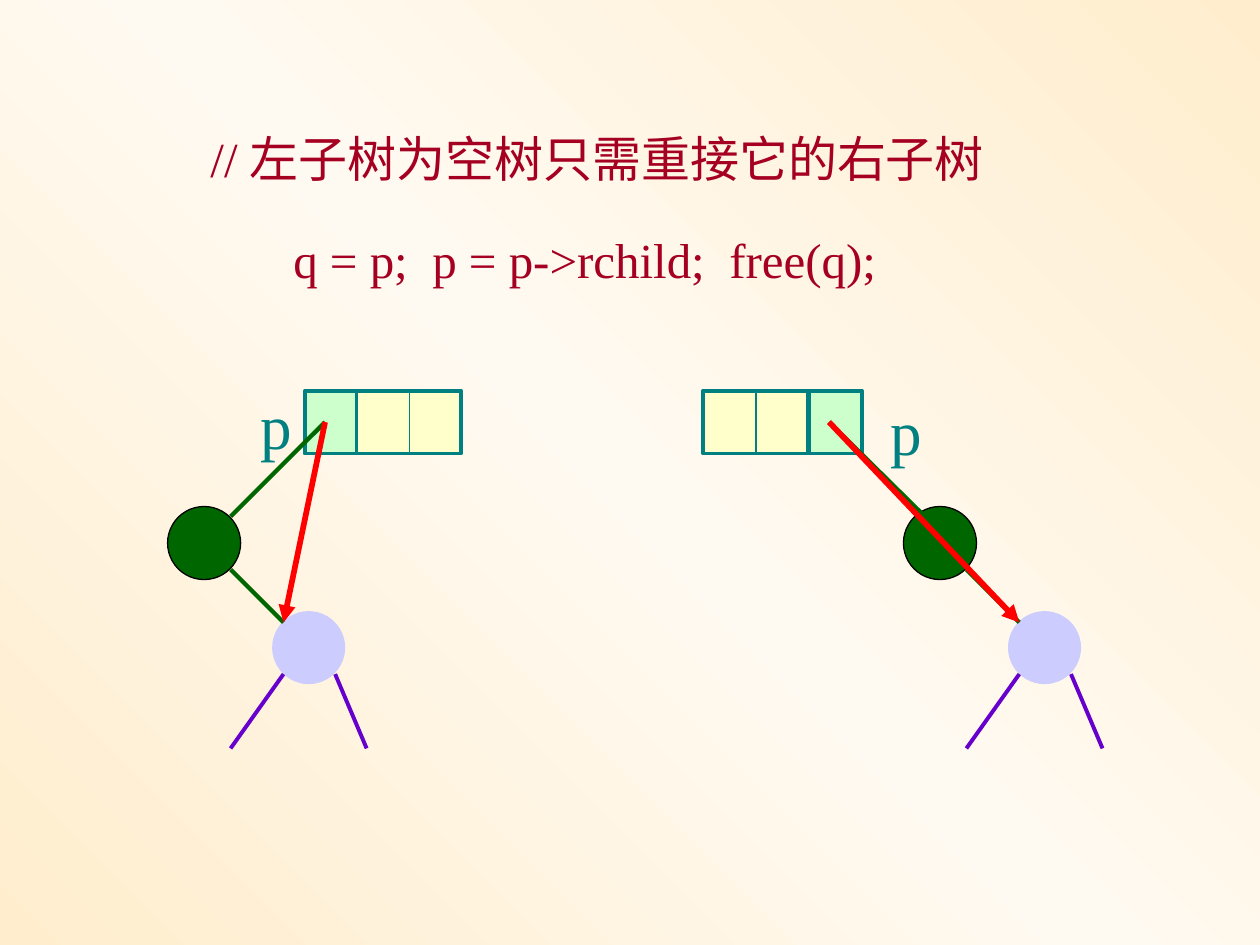
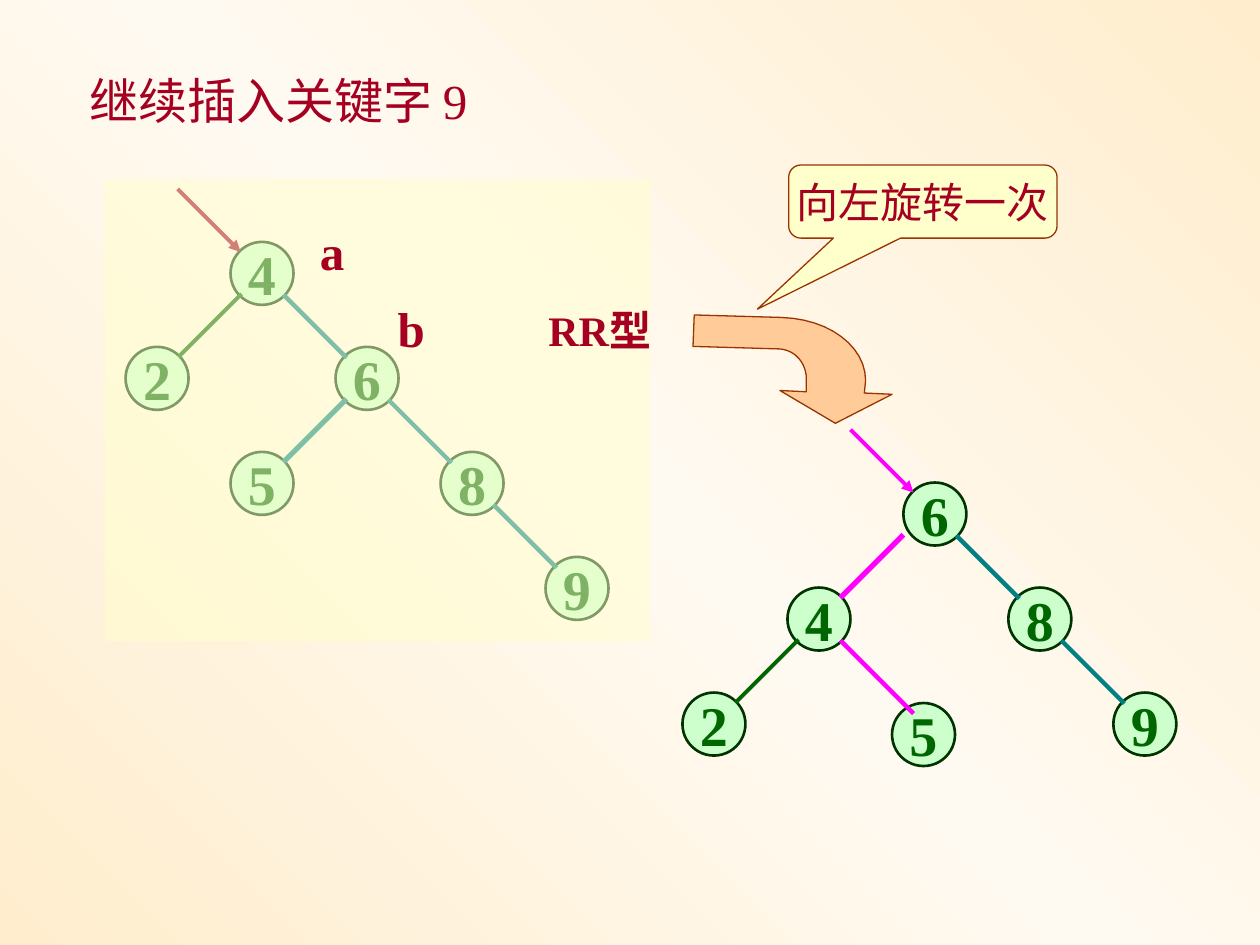
from copy import deepcopy

from lxml.etree import SubElement
from pptx import Presentation
from pptx.dml.color import RGBColor
from pptx.enum.shapes import MSO_CONNECTOR, MSO_SHAPE
from pptx.enum.text import MSO_ANCHOR, MSO_AUTO_SIZE, PP_ALIGN
from pptx.oxml.ns import qn
from pptx.util import Inches, Pt

FONT = "Times New Roman"
CRIMSON = RGBColor(0xA5, 0x00, 0x21)
TEAL = RGBColor(0x00, 0x80, 0x80)
GREEN = RGBColor(0x00, 0x66, 0x00)
DARK_GREEN = RGBColor(0x00, 0x33, 0x00)
MINT = RGBColor(0xCC, 0xFF, 0xCC)
CREAM = RGBColor(0xFF, 0xFF, 0xCC)
LAVENDER = RGBColor(0xCC, 0xCC, 0xFF)
PURPLE = RGBColor(0x66, 0x00, 0xCC)
MAGENTA = RGBColor(0xFF, 0x00, 0xFF)
RED = RGBColor(0xFF, 0x00, 0x00)
BLACK = RGBColor(0x00, 0x00, 0x00)
PEACH = RGBColor(0xFF, 0xCC, 0x99)
BROWN = RGBColor(0x99, 0x33, 0x00)
EDGE_TINT = RGBColor(0xFF, 0xED, 0xCD)
MIDDLE_TINT = RGBColor(0xFF, 0xFA, 0xF1)

DELETE_TITLE = "// 左子树为空树只需重接它的右子树"
DELETE_CODE = "q = p;  p = p->rchild;  free(q);"
DELETE_SIDES = [
    {"slot": 2.42, "fields": 2.83, "pointer": 2.58, "removed": 1.33,
     "entry": 0.5, "label": (1.97, 3.02)},
    {"slot": 6.42, "fields": 5.58, "pointer": 6.58, "removed": 7.17,
     "entry": 0.17, "label": (6.97, 3.07)},
]

INSERT_TITLE = "继续插入关键字 9"
STEP = 2.5 / 3
TREE_BEFORE = {
    "nodes": {"4": (1.83, 1.92), "2": (1.83 - STEP, 1.92 + STEP),
              "6": (1.83 + STEP, 1.92 + STEP), "5": (1.83, 1.92 + 2 * STEP),
              "8": (1.83 + 2 * STEP, 1.92 + 2 * STEP),
              "9": (1.83 + 3 * STEP, 1.92 + 3 * STEP)},
    "left_edges": [("2", GREEN, 2.25), ("5", TEAL, 3)],
    "right_edges": [("4", 0.5, TEAL), ("6", 0.5, TEAL), ("8", 0.5, TEAL)],
    "root": "4", "arrow": CRIMSON,
}
TREE_AFTER = {
    "nodes": {"6": (7.17, 3.83), "4": (6.25, 3.83 + STEP),
              "2": (6.25 - STEP, 3.83 + 2 * STEP), "8": (7.17 + STEP, 3.83 + STEP),
              "9": (7.17 + 2 * STEP, 3.83 + 2 * STEP), "5": (7.08, 5.58)},
    "left_edges": [("2", GREEN, 2.25), ("4", MAGENTA, 3)],
    "right_edges": [("6", 0.5, TEAL), ("8", 0.5, TEAL), ("4", 0.58, MAGENTA)],
    "root": "6", "arrow": MAGENTA,
}
INSERT_LABELS = [
    ("RR型", (4.21, 2.37, 1.1, 0.5), 24),
    ("a", (2.32, 1.71, 0.63, 0.57), 28),
    ("b", (2.95, 2.32, 0.63, 0.57), 28),
]
TURN_ARROW = [
    [(6.63, 3.36)], [(7.08, 3.13)], [(6.86, 3.12)], [(6.87, 3.02)],
    [(6.87, 2.75), (6.58, 2.53), (6.2, 2.52)],
    [(5.51, 2.5)], [(5.5, 2.75)], [(6.19, 2.77)],
    [(6.31, 2.78), (6.4, 2.88), (6.4, 3.01)],
    [(6.4, 3.11)], [(6.19, 3.1)],
]


def write(shape, text, size=28, color=CRIMSON, bold=False, align=PP_ALIGN.LEFT,
          anchor=MSO_ANCHOR.TOP, wrap=False, spacing=None):
    """Put formatted text into a shape."""
    frame = shape.text_frame
    frame.text = text
    frame.word_wrap = wrap
    frame.auto_size = MSO_AUTO_SIZE.NONE
    frame.vertical_anchor = anchor
    paragraph = frame.paragraphs[0]
    paragraph.alignment = align
    if spacing:
        paragraph.line_spacing = spacing
    font = paragraph.runs[0].font
    font.name, font.size, font.bold = FONT, Pt(size), bold
    font.color.rgb = color


def add_text(slide, text, box, **style):
    """Add a text box."""
    write(slide.shapes.add_textbox(*map(Inches, box)), text, **style)


def set_title(slide, text, box, **style):
    """Move and fill the title placeholder."""
    title = slide.shapes.title
    title.left, title.top, title.width, title.height = map(Inches, box)
    write(title, text, wrap=True, **style)


def paint(shape, fill, line=None, width=0.75):
    """Set fill and outline of a shape."""
    shape.shadow.inherit = False
    shape.fill.solid()
    shape.fill.fore_color.rgb = fill
    if line is None:
        shape.line.fill.background()
    else:
        shape.line.color.rgb = line
        shape.line.width = Pt(width)


def add_shape(slide, kind, box, fill, line=None, width=0.75):
    """Add a painted preset shape."""
    shape = slide.shapes.add_shape(kind, *map(Inches, box))
    paint(shape, fill, line, width)
    return shape


def add_line(slide, start, end, color, width, arrow=False):
    """Add a straight line, optionally with an arrowhead at its end."""
    line = slide.shapes.add_connector(
        MSO_CONNECTOR.STRAIGHT, *map(Inches, (*start, *end)))
    line.line.color.rgb = color
    line.line.width = Pt(width)
    properties = line.element.spPr
    SubElement(properties, qn("a:effectLst"))
    if arrow:
        SubElement(properties.find(qn("a:ln")), qn("a:tailEnd"), type="triangle")


def set_background(master):
    """Give every slide the diagonal gradient."""
    fill = master.background.fill
    fill.gradient()
    fill.gradient_angle = 45
    for stop in fill.gradient_stops:
        stop.color.rgb = EDGE_TINT
    first = master.element.find(".//" + qn("a:gs"))
    first.addnext(deepcopy(first))
    for stop, position in zip(fill.gradient_stops, (0, 0.5, 1)):
        stop.position = position
    fill.gradient_stops[1].color.rgb = MIDDLE_TINT


def draw_deletion(slide, slot, fields, pointer, removed, entry, label):
    """Draw one case of unlinking a node with a single subtree."""
    top, height, node_top, size = 3.1, 0.5, 4.02, 0.58

    def near(x, y):
        return removed + x, node_top + y

    add_shape(slide, MSO_SHAPE.RECTANGLE, (slot, top, 0.42, height), MINT, TEAL, 2.25)
    add_shape(slide, MSO_SHAPE.RECTANGLE, (fields, top, 0.83, height), CREAM, TEAL, 2.25)
    middle = fields + 0.42
    add_line(slide, (middle, top), (middle, top + height), TEAL, 0.75)
    add_shape(slide, MSO_SHAPE.OVAL, (*near(0, 0), size, size), GREEN, BLACK)
    add_shape(slide, MSO_SHAPE.OVAL, (*near(0.83, 0.83), size, size), LAVENDER)
    add_line(slide, near(0.92, 1.33), near(0.5, 1.92), PURPLE, 2.25)
    add_line(slide, near(1.33, 1.33), near(1.58, 1.92), PURPLE, 2.25)
    start, joint = (pointer, top + height / 2), near(0.92, 0.92)
    add_line(slide, near(0.5, 0.5), joint, GREEN, 2.5)
    add_line(slide, start, near(entry, 0.08), GREEN, 2.5)
    add_line(slide, start, joint, RED, 3.25, arrow=True)
    add_text(slide, "p", (*label, 0.45, 0.7), size=36, color=TEAL)


def draw_tree(slide, nodes, left_edges, right_edges, root, arrow):
    """Draw key circles, their edges and the arrow into the root."""
    near, far, reach = 0.08, 0.42, 0.5
    for key, (x, y) in nodes.items():
        circle = add_shape(slide, MSO_SHAPE.OVAL, (x, y, 0.5, 0.5), MINT, DARK_GREEN, 1.5)
        write(circle, key, size=32, color=GREEN, bold=True,
              align=PP_ALIGN.CENTER, anchor=MSO_ANCHOR.MIDDLE)
    for child, color, width in left_edges:
        x, y = nodes[child][0] + far, nodes[child][1] + near
        add_line(slide, (x + reach, y - reach), (x, y), color, width)
    for parent, length, color in right_edges:
        x, y = nodes[parent][0] + far, nodes[parent][1] + far
        add_line(slide, (x, y), (x + length, y + length), color, 2.5)
    x, y = nodes[root][0] + near, nodes[root][1] + near
    add_line(slide, (x - reach, y - reach), (x, y), arrow, 2.25, arrow=True)


def outline(segments, steps=12):
    """Turn line and cubic curve segments into points."""
    points = [segments[0][0]]
    for segment in segments[1:]:
        if len(segment) == 1:
            points.append(segment[0])
            continue
        controls = [points[-1], *segment]
        for step in range(1, steps + 1):
            t = step / steps
            weights = ((1 - t) ** 3, 3 * t * (1 - t) ** 2, 3 * t * t * (1 - t), t ** 3)
            points.append(tuple(sum(weight * control[axis] for weight, control
                                    in zip(weights, controls)) for axis in (0, 1)))
    return [(Inches(x), Inches(y)) for x, y in points]


def build_deletion(slide):
    """Build the slide on deleting a node."""
    set_title(slide, DELETE_TITLE, (1.57, 0.74, 6.35, 0.8), spacing=1.5)
    add_text(slide, DELETE_CODE, (2.23, 1.77, 4.83, 0.57))
    for side in DELETE_SIDES:
        draw_deletion(slide, **side)


def build_insertion(slide):
    """Build the slide on inserting a key and rotating."""
    set_title(slide, INSERT_TITLE, (0.61, 0.51, 4.39, 0.57))
    draw_tree(slide, **TREE_BEFORE)
    veil = add_shape(slide, MSO_SHAPE.RECTANGLE, (0.83, 1.42, 4.33, 3.67), CREAM)
    SubElement(veil.element.spPr.find(".//" + qn("a:srgbClr")), qn("a:alpha"), val="50000")
    draw_tree(slide, **TREE_AFTER)

    start, *points = outline(TURN_ARROW)
    builder = slide.shapes.build_freeform(*start)
    builder.add_line_segments(points, close=True)
    paint(builder.convert_to_shape(), PEACH, BROWN)

    callout = add_shape(slide, MSO_SHAPE.ROUNDED_RECTANGULAR_CALLOUT,
                        (6.26, 1.31, 2.13, 0.58), CREAM, BROWN)
    for index, value in enumerate((-0.617, 1.473, 0.167)):
        callout.adjustments[index] = value
    write(callout, "向左旋转一次", size=24, align=PP_ALIGN.CENTER, anchor=MSO_ANCHOR.MIDDLE)
    for text, box, size in INSERT_LABELS:
        add_text(slide, text, box, size=size, bold=True, align=PP_ALIGN.CENTER)


def main():
    """Build and save the presentation."""
    presentation = Presentation()
    presentation.slide_width, presentation.slide_height = Inches(10), Inches(7.5)
    set_background(presentation.slide_master)
    title_only = presentation.slide_layouts.get_by_name("Title Only")
    for build in (build_deletion, build_insertion):
        build(presentation.slides.add_slide(title_only))
    presentation.save("out.pptx")


if __name__ == "__main__":
    main()
